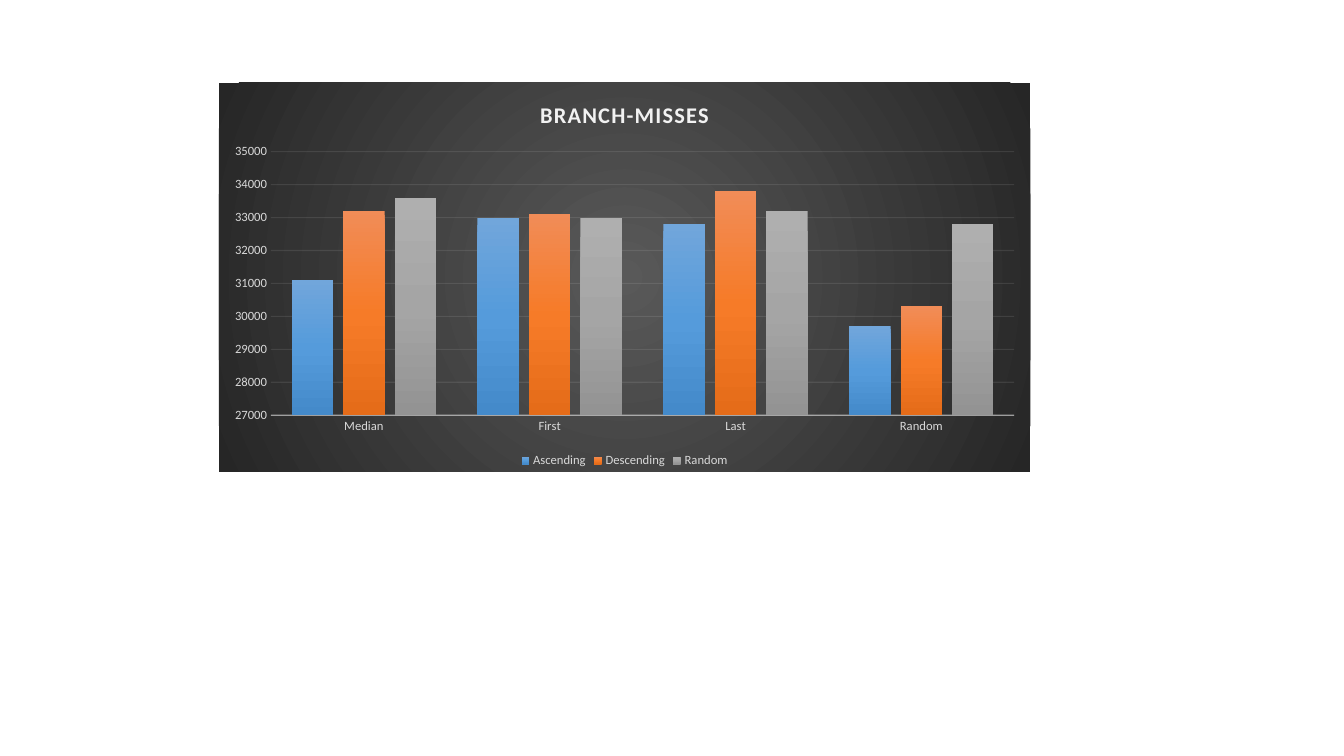
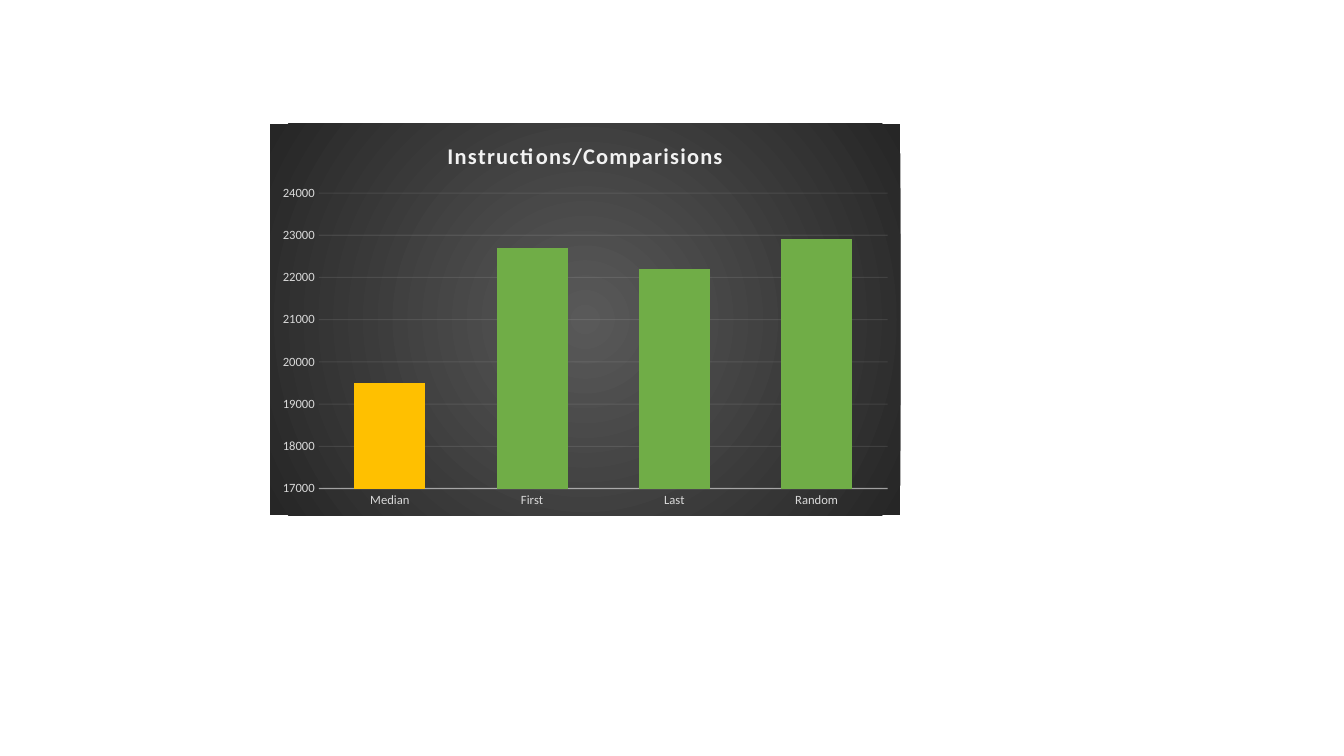
from pptx import Presentation
from pptx.chart.data import CategoryChartData
from pptx.dml.color import RGBColor
from pptx.enum.chart import XL_CHART_TYPE as ChartType
from pptx.enum.chart import XL_LEGEND_POSITION as LegendPosition
from pptx.enum.chart import XL_TICK_MARK as TickMark
from pptx.oxml import parse_xml
from pptx.oxml.ns import nsdecls
from pptx.util import Inches, Pt

FONT = "Calibri"
LIGHT, LABEL = "F2F2F2", "D9D9D9"
GREEN, AMBER = "70AD47", "FFC000"
BACKDROP = ["595959", "262626"]
BLUES = ["71A6DB", "559BDB", "448ACA"]
ORANGES = ["F18C57", "F67B28", "E56C19"]
GREYS = ["AFAFAF", "A5A5A5", "939393"]
DOWNWARD = '<a:lin ang="5400000" scaled="0"/>'
FROM_CENTRE = ('<a:path path="circle"><a:fillToRect l="50000" t="50000" '
               'r="50000" b="50000"/></a:path>')

CATEGORIES = ["Median", "First", "Last", "Random"]
CHARTS = [
    {
        "title": "BRANCH-MISSES",
        "place": (2.17, 0.82, 8.05, 3.86),
        "scale": (27000, 35000),
        "legend": True,
        "series": [
            ("Ascending", [31100, 33000, 32800, 29700], BLUES),
            ("Descending", [33200, 33100, 33800, 30300], ORANGES),
            ("Random", [33600, 33000, 33200, 32800], GREYS),
        ],
        "highlights": {},
    },
    {
        "title": "Instructions/Comparisions",
        "place": (2.68, 1.23, 6.25, 3.88),
        "scale": (17000, 24000),
        "legend": False,
        "series": [("Series 1", [19500, 22700, 22200, 22900], [GREEN])],
        "highlights": {0: AMBER},
    },
]


def rgb(value):
    """Turn a hex string into a colour."""
    return RGBColor.from_string(value)


def gradient(colors, direction):
    """Return a gradient fill with evenly spaced stops."""
    step = 100000 // (len(colors) - 1)
    stops = "".join(
        f'<a:gs pos="{index * step}"><a:srgbClr val="{color}"/></a:gs>'
        for index, color in enumerate(colors))
    return parse_xml(f'<a:gradFill {nsdecls("a")} rotWithShape="1">'
                     f'<a:gsLst>{stops}</a:gsLst>{direction}</a:gradFill>')


def style_font(font, size, color, bold=False):
    """Set the typeface, size, colour and weight of a font."""
    font.name, font.size, font.bold = FONT, Pt(size), bold
    font.color.rgb = rgb(color)


def style_line(line, width, chart, owner, opacity):
    """Draw a light, partly transparent line on a part of the chart."""
    line.width = Pt(width)
    line.color.rgb = rgb(LIGHT)
    for color in chart.element.xpath(f".//{owner}/c:spPr/a:ln//a:srgbClr"):
        color.append(parse_xml(
            f'<a:alpha {nsdecls("a")} val="{opacity * 1000}"/>'))


def fill_backdrop(chart):
    """Give the chart area its radial gradient without an outline."""
    area = parse_xml(f'<c:spPr {nsdecls("c", "a")}>'
                     '<a:ln><a:noFill/></a:ln></c:spPr>')
    area.insert(0, gradient(BACKDROP, FROM_CENTRE))
    chart.element.xpath("./c:chart")[0].addnext(area)


def add_title(chart, text):
    """Write the spaced bold chart title."""
    chart.has_title = True
    para = chart.chart_title.text_frame.paragraphs[0]
    span = para.add_run()
    span.text = text
    style_font(span.font, 16, LIGHT, bold=True)
    span._r.get_or_add_rPr().set("spc", "100")


def style_axes(chart, scale):
    """Format both axes and the gridlines."""
    categories, values = chart.category_axis, chart.value_axis
    for axis in (categories, values):
        axis.major_tick_mark = axis.minor_tick_mark = TickMark.NONE
        style_font(axis.tick_labels.font, 9, LABEL)
    values.minimum_scale, values.maximum_scale = scale
    values.major_unit = 1000
    values.has_major_gridlines = True
    values.format.line.fill.background()
    style_line(categories.format.line, 1, chart, "c:catAx", 54)
    style_line(values.major_gridlines.format.line, 0.75, chart,
               "c:majorGridlines", 10)


def style_columns(chart, rows, highlights):
    """Colour the columns and set their spacing."""
    plot = chart.plots[0]
    plot.gap_width, plot.overlap = 100, -24
    plot.vary_by_categories = False
    for series, (name, values, colors) in zip(plot.series, rows):
        series.invert_if_negative = False
        fill = series.format.fill
        fill.solid()
        fill.fore_color.rgb = rgb(colors[0])
        if len(colors) > 1:
            solid = chart.element.xpath(
                f".//c:ser[c:idx/@val='{series.index}']/c:spPr/a:solidFill")[0]
            solid.getparent().replace(solid, gradient(colors, DOWNWARD))
        for index, color in highlights.items():
            point_fill = series.points[index].format.fill
            point_fill.solid()
            point_fill.fore_color.rgb = rgb(color)


def add_chart_slide(deck, content):
    """Add a slide holding one dark column chart."""
    page = deck.slides.add_slide(deck.slide_layouts[6])
    data = CategoryChartData()
    data.categories = CATEGORIES
    for name, values, colors in content["series"]:
        data.add_series(name, values)
    place = [Inches(length) for length in content["place"]]
    chart = page.shapes.add_chart(
        ChartType.COLUMN_CLUSTERED, *place, data).chart
    style_font(chart.font, 10, "000000")
    fill_backdrop(chart)
    add_title(chart, content["title"])
    style_axes(chart, content["scale"])
    style_columns(chart, content["series"], content["highlights"])
    chart.has_legend = content["legend"]
    if chart.has_legend:
        chart.legend.position = LegendPosition.BOTTOM
        chart.legend.include_in_layout = False
        style_font(chart.legend.font, 9, LABEL)


def main():
    """Build and save the deck."""
    deck = Presentation()
    deck.slide_width, deck.slide_height = Inches(13.33), Inches(7.5)
    for content in CHARTS:
        add_chart_slide(deck, content)
    deck.save("out.pptx")


main()
